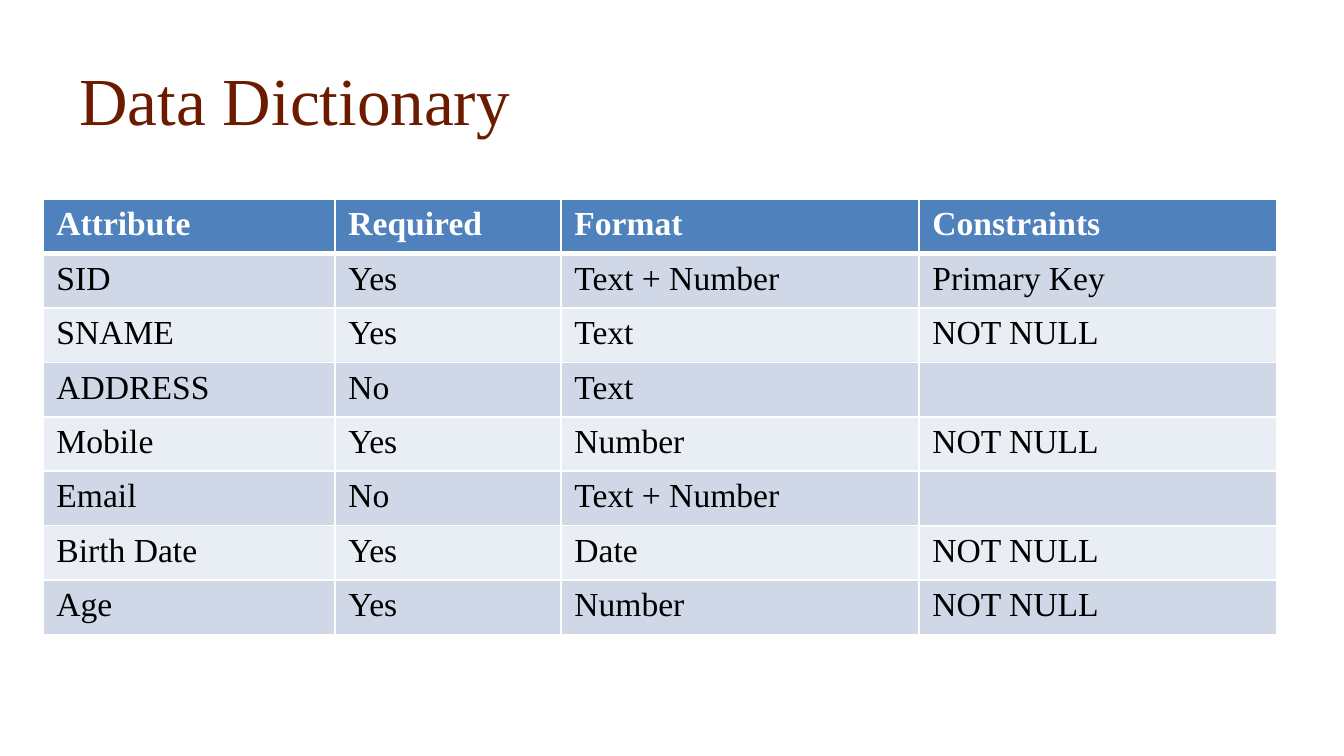
import pptx
import pptx.dml.color
import pptx.enum.text
import pptx.util
import lxml.etree

TITLE = "Data Dictionary"
TITLE_BOX = (66, 42, 1212, 113)
FONT = "Times New Roman"
TABLE_TOP, TABLE_HEIGHT = 199, 436
TABLES = [
    {
        "left": 43,
        "columns": [292, 226, 358],
        "rows": [
            ("Attribute", "Required", "Format"),
            ("SID", "Yes", "Text + Number"),
            ("SNAME", "Yes", "Text"),
            ("ADDRESS", "No", "Text"),
            ("Mobile", "Yes", "Number"),
            ("Email", "No", "Text + Number"),
            ("Birth Date", "Yes", "Date"),
            ("Age", "Yes", "Number"),
        ],
    },
    {
        "left": 919,
        "columns": [358],
        "rows": [
            ("Constraints",), ("Primary Key",), ("NOT NULL",), ("",),
            ("NOT NULL",), ("",), ("NOT NULL",), ("NOT NULL",),
        ],
    },
]
HEADER_FILL, BAND_FILLS = "4F81BD", ("E9EDF4", "D0D8E8")
HEADER_TEXT = {"size": 18, "color": "FFFFFF", "bold": True}
BODY_TEXT = {"size": 18, "color": "000000", "bold": False}
TITLE_TEXT = {"size": 36, "color": "6C1A00", "bold": False}
BORDER_COLOR = "FFFFFF"
DRAWING = "http://schemas.openxmlformats.org/drawingml/2006/main"


def px(length):
    return round(length * 914400 / 134.4)


def rgb(value):
    return pptx.dml.color.RGBColor.from_string(value)


def write(frame, text, style):
    para = frame.paragraphs[0]
    para.alignment = pptx.enum.text.PP_ALIGN.LEFT
    if not text:
        return
    span = para.add_run()
    span.text = text
    values = {"name": FONT, "size": pptx.util.Pt(style["size"]), "bold": style["bold"]}
    for name, value in values.items():
        setattr(span.font, name, value)
    span.font.color.rgb = rgb(style["color"])


def add_borders(cell, widths):
    properties = cell._tc.get_or_add_tcPr()
    for side, width in widths.items():
        line = lxml.etree.SubElement(
            properties, f"{{{DRAWING}}}ln{side}", w=str(pptx.util.Pt(width)))
        fill = lxml.etree.SubElement(line, f"{{{DRAWING}}}solidFill")
        lxml.etree.SubElement(fill, f"{{{DRAWING}}}srgbClr", val=BORDER_COLOR)


def add_title(page):
    box = page.shapes.title
    for name, value in zip(("left", "top", "width", "height"), TITLE_BOX):
        setattr(box, name, px(value))
    box.text_frame.vertical_anchor = pptx.enum.text.MSO_ANCHOR.MIDDLE
    write(box.text_frame, TITLE, TITLE_TEXT)


def add_dictionary_table(page, left, columns, rows):
    table = page.shapes.add_table(
        len(rows), len(columns), px(left), px(TABLE_TOP),
        px(sum(columns)), px(TABLE_HEIGHT)).table
    for column, width in zip(table.columns, columns):
        column.width = px(width)
    for index, texts in enumerate(rows):
        table.rows[index].height = px(TABLE_HEIGHT / len(rows))
        header = index == 0
        borders = {"L": 1, "R": 1, "T": 3 if index == 1 else 1, "B": 3 if header else 1}
        for position, text in enumerate(texts):
            cell = table.cell(index, position)
            add_borders(cell, borders)
            cell.fill.solid()
            cell.fill.fore_color.rgb = rgb(HEADER_FILL if header else BAND_FILLS[index % 2])
            write(cell.text_frame, text, HEADER_TEXT if header else BODY_TEXT)


def main():
    deck = pptx.Presentation()
    deck.slide_width, deck.slide_height = px(1344), px(756)
    page = deck.slides.add_slide(deck.slide_layouts[5])
    add_title(page)
    for table in TABLES:
        add_dictionary_table(page, **table)
    deck.save("out.pptx")


if __name__ == "__main__":
    main()
